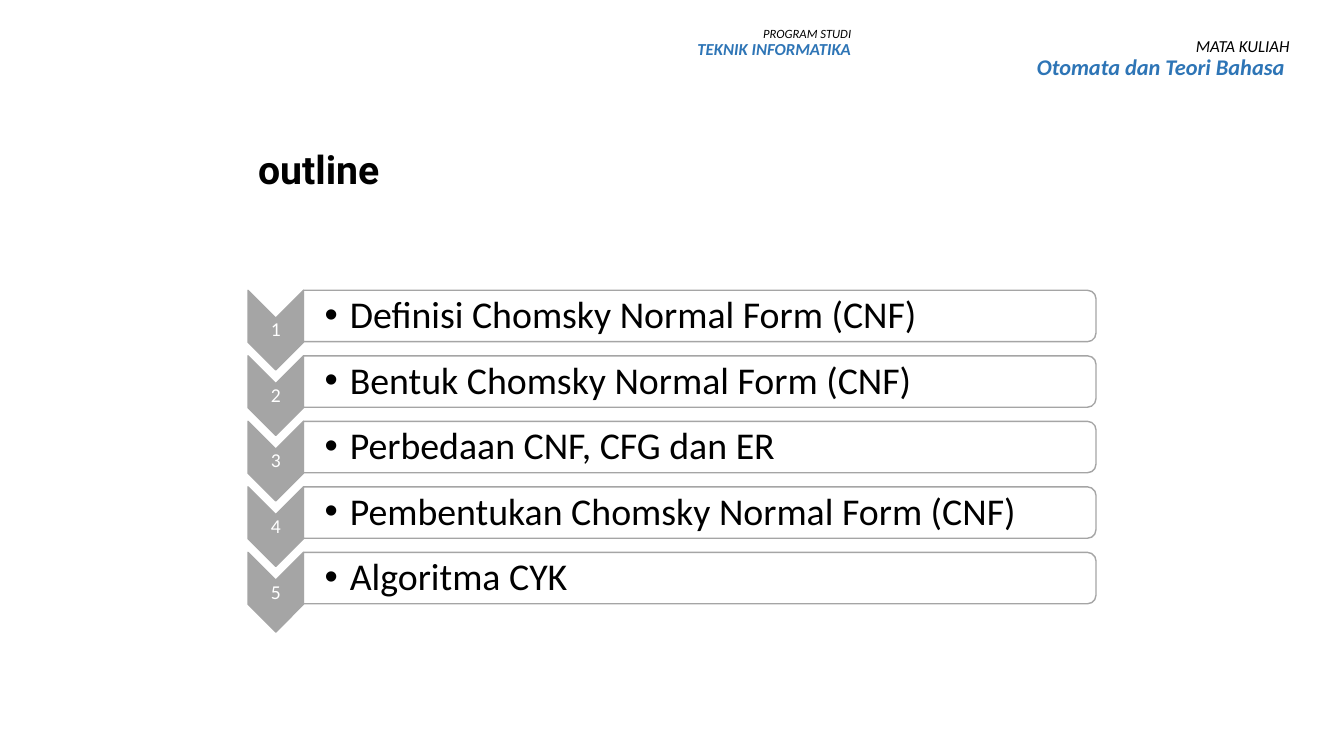
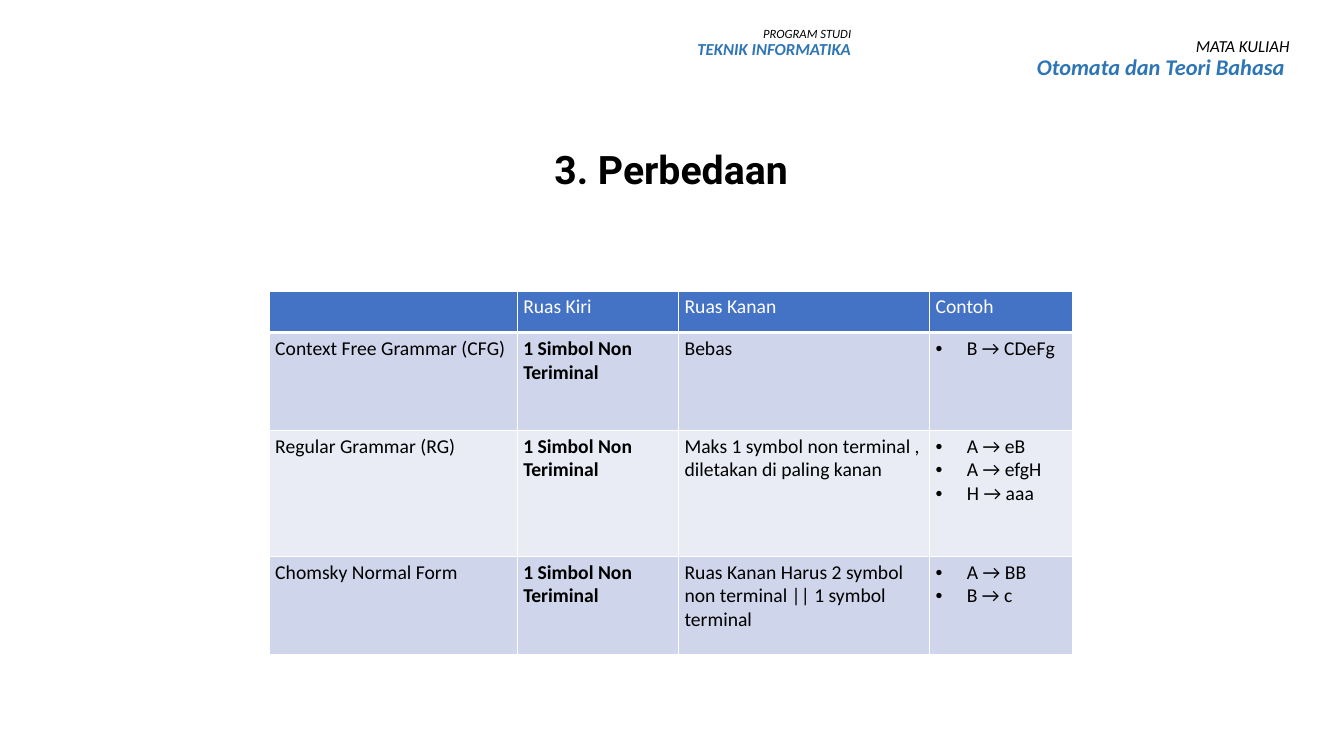
from dataclasses import dataclass

from lxml.etree import SubElement
from pptx import Presentation
from pptx.dml.color import RGBColor
from pptx.enum.shapes import MSO_SHAPE
from pptx.enum.text import MSO_ANCHOR, MSO_AUTO_SIZE, PP_ALIGN
from pptx.oxml.ns import qn
from pptx.util import Inches, Pt

# Content
HEADERS = [
    # left, top, width, height, ((text, size), (text, size))
    (6.03, 0.22, 2.51, 0.56, ("PROGRAM STUDI", 9), ("TEKNIK INFORMATIKA", 12)),
    (9.81, 0.33, 3.08, 0.74, ("MATA KULIAH", 12), ("Otomata dan Teori Bahasa ", 16)),
]
TOPICS = [
    "Definisi Chomsky Normal Form (CNF)",
    "Bentuk Chomsky Normal Form (CNF)",
    "Perbedaan CNF, CFG dan ER",
    "Pembentukan Chomsky Normal Form (CNF)",
    "Algoritma CYK",
]
GRAMMARS = [
    ("", "Ruas Kiri", "Ruas Kanan", "Contoh"),
    ("Context Free Grammar (CFG)", "1 Simbol Non Teriminal", "Bebas", ["B → CDeFg"]),
    ("Regular Grammar (RG)", "1 Simbol Non Teriminal",
     "Maks 1 symbol non terminal , diletakan di paling kanan",
     ["A → eB", "A → efgH", "H → aaa"]),
    ("Chomsky Normal Form", "1 Simbol Non Teriminal",
     "Ruas Kanan Harus 2 symbol non terminal || 1 symbol terminal",
     ["A → BB", "B → c"]),
]
COLUMN_WIDTHS = [2.46, 1.6, 2.49, 1.42]
ROW_HEIGHTS = [0.41, 0.97, 1.25, 0.97]


@dataclass(frozen=True)
class Theme:
    title_font: str = "Roboto"
    body_font: str = "Calibri"
    black: str = "000000"
    white: str = "FFFFFF"
    accent: str = "2E75B6"
    gray: str = "A5A5A5"
    table_head: str = "4472C4"
    band_dark: str = "CFD5EA"
    band_light: str = "E9EBF5"
    title_size: int = 28
    topic_size: int = 27
    small_size: int = 14
    line_spacing: float = 0.9


THEME = Theme()


# Text helpers
def add_span(para, text, size, color=THEME.black, font=THEME.body_font,
             bold=False, italic=False):
    span = para.add_run()
    span.text = text
    span.font.name = font
    span.font.size = Pt(size)
    span.font.bold = bold
    span.font.italic = italic
    span.font.color.rgb = RGBColor.from_string(color)


def add_bullet(para, indent):
    properties = para._p.get_or_add_pPr()
    properties.set("marL", str(Inches(indent)))
    properties.set("indent", str(-Inches(indent)))
    SubElement(properties, qn("a:buFont")).set("typeface", "Arial")
    SubElement(properties, qn("a:buChar")).set("char", "•")


def add_box(page, left, top, width, height, insets=None, anchor=MSO_ANCHOR.TOP):
    box = page.shapes.add_textbox(Inches(left), Inches(top), Inches(width), Inches(height))
    frame = box.text_frame
    frame.word_wrap = True
    frame.vertical_anchor = anchor
    if insets:
        frame.margin_left = Inches(insets[0])
        frame.margin_top = frame.margin_right = frame.margin_bottom = Inches(insets[1])
    return frame


# Shared page: title and header texts
def add_page(deck, title_text, left, width, align):
    page = deck.slides.add_slide(deck.slide_layouts[5])
    title = page.shapes.title
    title.left, title.top = Inches(left), Inches(1.05)
    title.width, title.height = Inches(width), Inches(1.3)
    title.text_frame.auto_size = MSO_AUTO_SIZE.NONE
    title.text_frame.vertical_anchor = MSO_ANCHOR.MIDDLE
    para = title.text_frame.paragraphs[0]
    para.alignment = align
    para.line_spacing = THEME.line_spacing
    add_span(para, title_text, THEME.title_size, font=THEME.title_font, bold=True)

    for *place, label, name in HEADERS:
        frame = add_box(page, *place)
        for para in (frame.paragraphs[0], frame.add_paragraph()):
            para.alignment = PP_ALIGN.RIGHT
            para.line_spacing = THEME.line_spacing
        add_span(frame.paragraphs[0], *label, italic=True)
        add_span(frame.paragraphs[1], *name, color=THEME.accent, bold=True, italic=True)
    return page


# Outline list
def add_turned_shape(page, kind, left, top, width, height, fill):
    """Place a shape turned 90 degrees so that it covers the given area."""
    shift = (width - height) / 2
    shape = page.shapes.add_shape(kind, Inches(left + shift), Inches(top - shift),
                                  Inches(height), Inches(width))
    shape.rotation = 90
    shape.shadow.inherit = False
    shape.fill.solid()
    shape.fill.fore_color.rgb = RGBColor.from_string(fill)
    shape.line.color.rgb = RGBColor.from_string(THEME.gray)
    shape.line.width = Pt(1)
    return shape


def add_topics(page):
    left, first_top, pitch = 2.46, 2.88, 0.65
    chevron_width, chevron_height = 0.55, 0.79
    bar_left = left + chevron_width
    for index, topic in enumerate(TOPICS):
        top = first_top + index * pitch
        add_turned_shape(page, MSO_SHAPE.CHEVRON, left, top,
                         chevron_width, chevron_height, THEME.gray)
        number = add_box(page, left, top + 0.28, chevron_width, 0.24,
                         (0.01, 0.01), MSO_ANCHOR.MIDDLE).paragraphs[0]
        number.alignment = PP_ALIGN.CENTER
        number.line_spacing = THEME.line_spacing
        add_span(number, str(index + 1), THEME.small_size, THEME.white)

        bar = add_turned_shape(page, MSO_SHAPE.ROUND_2_SAME_RECTANGLE,
                               bar_left, top, 7.86, 0.51, THEME.white)
        bar_color = bar.element.spPr.find(qn("a:solidFill"))[0]
        SubElement(bar_color, qn("a:alpha")).set("val", "90000")
        para = add_box(page, bar_left, top + 0.03, 7.84, 0.46,
                       (0.21, 0.02), MSO_ANCHOR.MIDDLE).paragraphs[0]
        add_bullet(para, 0.25)
        para.line_spacing = THEME.line_spacing
        add_span(para, topic, THEME.topic_size)


# Comparison table
def add_borders(cell, bottom):
    properties = cell._tc.get_or_add_tcPr()
    for side, width in (("L", 1), ("R", 1), ("T", 1), ("B", bottom)):
        line = SubElement(properties, qn(f"a:ln{side}"), w=str(Pt(width)))
        fill = SubElement(line, qn("a:solidFill"))
        SubElement(fill, qn("a:srgbClr"), val=THEME.white)


def fill_cell(cell, content, row, column):
    is_head = row == 0
    add_borders(cell, 3 if is_head else 1)
    band = THEME.band_dark if row % 2 else THEME.band_light
    cell.fill.solid()
    cell.fill.fore_color.rgb = RGBColor.from_string(THEME.table_head if is_head else band)
    cell.margin_left = cell.margin_right = Inches(0.06)
    cell.margin_top = cell.margin_bottom = Inches(0.04)
    bulleted = isinstance(content, list)
    for index, text in enumerate(content if bulleted else [content]):
        frame = cell.text_frame
        para = frame.add_paragraph() if index else frame.paragraphs[0]
        if bulleted:
            add_bullet(para, 0.31)
        if text:
            add_span(para, text, THEME.small_size,
                     THEME.white if is_head else THEME.black,
                     bold=column == 1 and not is_head)


def add_grammar_table(page):
    table = page.shapes.add_table(
        len(ROW_HEIGHTS), len(COLUMN_WIDTHS), Inches(2.67), Inches(2.89),
        Inches(sum(COLUMN_WIDTHS)), Inches(sum(ROW_HEIGHTS))).table
    table.horz_banding = False
    for column, width in zip(table.columns, COLUMN_WIDTHS):
        column.width = Inches(width)
    for row, height in zip(table.rows, ROW_HEIGHTS):
        row.height = Inches(height)
    for row, contents in enumerate(GRAMMARS):
        for column, content in enumerate(contents):
            fill_cell(table.cell(row, column), content, row, column)


def main():
    deck = Presentation()
    deck.slide_width, deck.slide_height = Inches(13.33), Inches(7.5)
    add_topics(add_page(deck, "outline", 2.46, 8.42, PP_ALIGN.LEFT))
    add_grammar_table(add_page(deck, "3. Perbedaan", 2.67, 7.97, PP_ALIGN.CENTER))
    deck.save("out.pptx")


if __name__ == "__main__":
    main()
